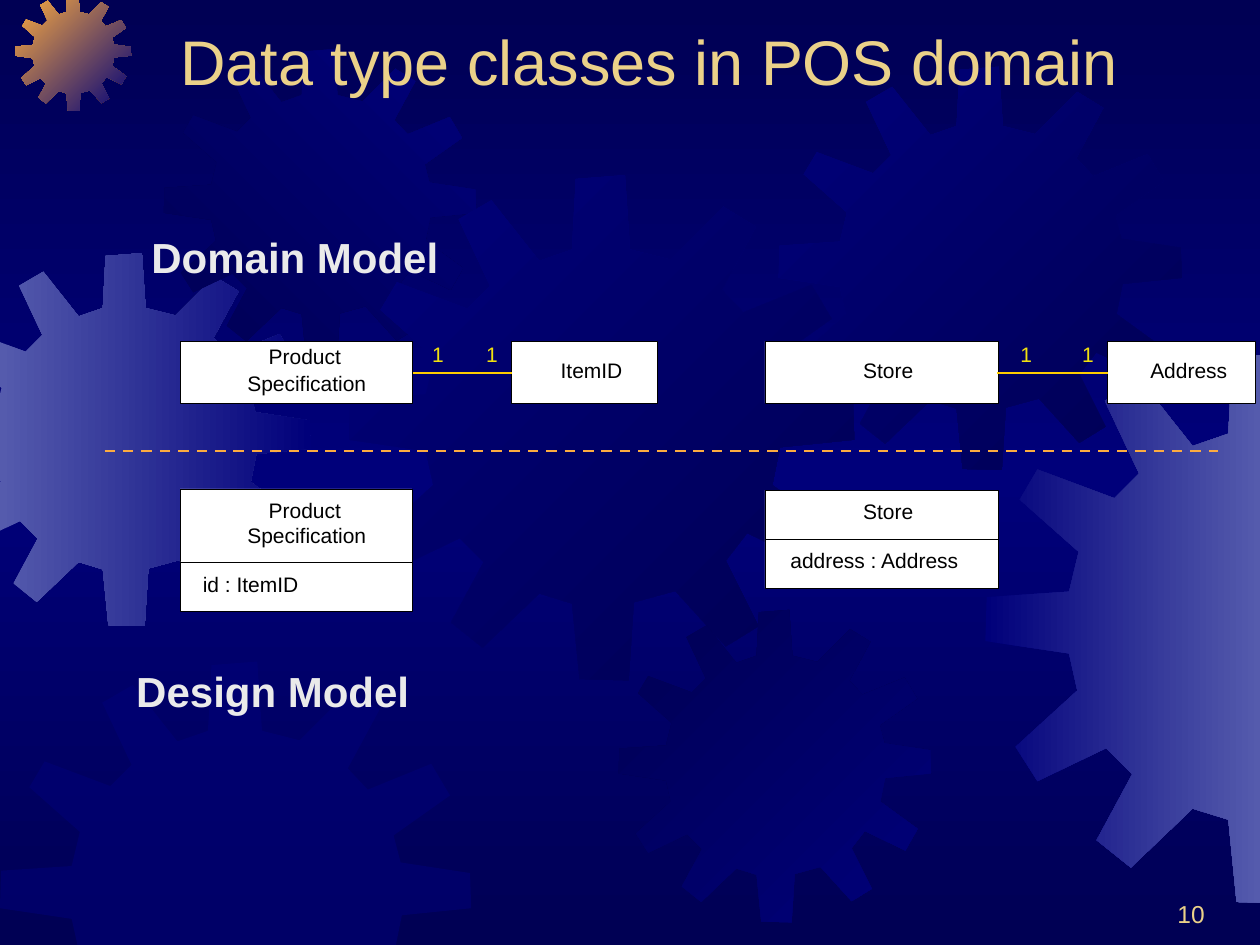
"""Build the slide on data type classes in the POS domain."""
from copy import deepcopy
from dataclasses import dataclass

from lxml import etree
from pptx import Presentation
from pptx.dml.color import RGBColor
from pptx.enum.dml import MSO_LINE
from pptx.enum.shapes import MSO_CONNECTOR, MSO_SHAPE
from pptx.enum.text import MSO_ANCHOR, MSO_AUTO_SIZE, PP_ALIGN
from pptx.oxml.ns import qn
from pptx.util import Inches, Pt

LEFT, MID, RIGHT = PP_ALIGN.LEFT, PP_ALIGN.CENTER, PP_ALIGN.RIGHT
TOP, BOTTOM = MSO_ANCHOR.TOP, MSO_ANCHOR.BOTTOM
FIXED = MSO_AUTO_SIZE.NONE
RECT, LINE, DASH = MSO_SHAPE.RECTANGLE, MSO_CONNECTOR.STRAIGHT, MSO_LINE.DASH
WIDE, HIGH = 10, 7.5
FONT = "Arial"
HUES = {
    "navy": "000054", "blue": "00007A", "haze": "555BAD", "amber": "FCAB40",
    "gold": "EBD189", "link": "FFCC00", "count": "F1E10F", "head": "EAEAEA",
    "white": "FFFFFF", "black": "000000",
}
SPAN = 401
TEETH = [
    (255, 67), (223, 59), (219, 0), (180, 3), (177, 59), (151, 68),
    (113, 20), (87, 35), (112, 88), (94, 106), (38, 85), (25, 107),
    (68, 145), (61, 174), (1, 178), (0, 210), (61, 219), (67, 246),
    (22, 287), (38, 312), (88, 288), (107, 307), (81, 355), (106, 375),
    (151, 332), (177, 340), (183, 400), (222, 401), (226, 339), (259, 330),
    (299, 374), (325, 358), (299, 306), (316, 284), (368, 309), (384, 281),
    (336, 246), (342, 216), (401, 210), (400, 180), (341, 171), (335, 148),
    (383, 114), (367, 87), (313, 109), (296, 91), (323, 41), (297, 25),
]


@dataclass
class Gear:
    left: float
    top: float
    size: float
    hues: tuple
    angle: int = 0


@dataclass
class Box:
    left: float
    top: float
    width: float
    height: float


@dataclass
class Label:
    text: str
    left: float
    top: float
    width: float
    height: float = 0.18
    size: int = 12
    hue: str = "black"
    bold: bool = False


@dataclass
class Link:
    start: float
    end: float
    counts: tuple


GEARS = [
    Gear(-0.49, 2.01, 2.96, ("haze", "blue")),
    Gear(0.12, -0.04, 0.92, ("amber", "blue"), 315),
    Gear(1.3, 0.39, 2.48, ("navy", "blue"), 45),
    Gear(2.77, 1.39, 4.01, ("blue", "navy"), 315),
    Gear(0, 5.25, 3.74, ("blue",)),
    Gear(4.91, 4.84, 2.48, ("navy", "blue"), 315),
    Gear(6.18, 0.53, 3.2, ("blue", "navy"), 315),
    Gear(7.82, 2.8, 4.37, ("blue", "haze")),
]
BOXES = [
    Box(4.06, 2.71, 1.16, 0.49), Box(1.43, 2.71, 1.84, 0.49),
    Box(1.43, 3.88, 1.84, 0.59), Box(1.43, 4.46, 1.84, 0.39),
    Box(8.79, 2.71, 1.17, 0.49), Box(6.07, 2.71, 1.85, 0.49),
    Box(6.07, 3.89, 1.85, 0.39), Box(6.07, 4.28, 1.85, 0.39),
]
LABELS = [
    Label("ItemID", 4.45, 2.86, 0.49),
    Label("Product", 2.13, 2.75, 0.58),
    Label("Specification", 1.96, 2.96, 0.95),
    Label("Product", 2.13, 3.97, 0.58),
    Label("Specification", 1.96, 4.17, 0.95),
    Label("id : ItemID", 1.61, 4.56, 0.76),
    Label("Address", 9.13, 2.86, 0.61),
    Label("Store", 6.85, 2.86, 0.4),
    Label("Store", 6.85, 3.98, 0.4),
    Label("address : Address", 6.27, 4.37, 1.34),
    Label("Domain Model", 1.2, 1.88, 2.28, 0.36, 24, "head", True),
    Label("Design Model", 1.08, 5.33, 2.17, 0.36, 24, "head", True),
]
LINKS = [Link(4.06, 3.28, (3.43, 3.86)), Link(8.79, 7.91, (8.1, 8.59))]


def tint(name: str) -> RGBColor:
    return RGBColor.from_string(HUES[name])


def place(shape, *box: float) -> None:
    shape.left, shape.top, shape.width, shape.height = map(Inches, box)


def shade(fill, hues: tuple, angle: int) -> None:
    fill.gradient()
    fill.gradient_angle = angle
    for stop, hue in zip(fill.gradient_stops, hues):
        stop.color.rgb = tint(hue)
    for spot, stop in enumerate(fill.gradient_stops):
        stop.position = spot


def paint_back(slide) -> None:
    fill = slide.background.fill
    shade(fill, ("navy", "blue"), 270)
    stops = next(slide._element.iter(qn("a:gsLst")))
    stops.append(deepcopy(stops[0]))
    for spot, stop in enumerate(fill.gradient_stops):
        stop.position = spot / 2


def clip(points: list, axis: int, edge: float, sign: int) -> list:
    kept = []
    for a, b in zip(points, points[1:] + points[:1]):
        near, far = sign * (a[axis] - edge), sign * (b[axis] - edge)
        if near >= 0:
            kept.append(a)
        if near * far < 0:
            part = near / (near - far)
            kept.append(tuple(p + part * (q - p) for p, q in zip(a, b)))
    return kept


def draw_gear(slide, gear: Gear) -> None:
    unit = gear.size / SPAN
    points = [(gear.left + x * unit, gear.top + y * unit) for x, y in TEETH]
    for axis, edge in enumerate((WIDE, HIGH)):
        points = clip(clip(points, axis, 0, 1), axis, edge, -1)
    path = [(Inches(x), Inches(y)) for x, y in points]
    pen = slide.shapes.build_freeform(*path[0])
    pen.add_line_segments(path[1:])
    shape = pen.convert_to_shape()
    shape.shadow.inherit = False
    shape.line.fill.background()
    if len(gear.hues) > 1:
        shade(shape.fill, gear.hues, gear.angle)
    else:
        shape.fill.solid()
        shape.fill.fore_color.rgb = tint(gear.hues[0])
        color = next(shape._element.spPr.iter(qn("a:srgbClr")))
        etree.SubElement(color, qn("a:alpha"), val="50000")


def draw_box(slide, box: Box) -> None:
    shape = slide.shapes.add_shape(RECT, 0, 0, 0, 0)
    place(shape, box.left, box.top, box.width, box.height)
    shape.shadow.inherit = False
    shape.fill.solid()
    shape.fill.fore_color.rgb = tint("white")
    shape.line.color.rgb = tint("black")
    shape.line.width = Pt(0.37)


def draw_line(slide, start: float, end: float, y: float, hue: str, width: float):
    line = slide.shapes.add_connector(
        LINE, Inches(start), Inches(y), Inches(end), Inches(y))
    etree.SubElement(line._element.spPr, qn("a:effectLst"))
    line.line.color.rgb = tint(hue)
    line.line.width = Pt(width)
    return line


def write(shape, text: str, size: int, hue: str, align, anchor, bold=False):
    frame = shape.text_frame
    frame.text = text
    frame.auto_size = FIXED
    frame.vertical_anchor = anchor
    para = frame.paragraphs[0]
    para.alignment = align
    font = para.runs[0].font
    font.name, font.size, font.bold = FONT, Pt(size), bold
    font.color.rgb = tint(hue)
    return frame


def draw_label(slide, label: Label) -> None:
    shape = slide.shapes.add_textbox(0, 0, 0, 0)
    place(shape, label.left, label.top, label.width, label.height)
    frame = write(shape, label.text, label.size, label.hue, MID, TOP, label.bold)
    frame.word_wrap = False
    frame.margin_left = frame.margin_right = 0
    frame.margin_top = frame.margin_bottom = 0
    frame.paragraphs[0].line_spacing = 0.9


def main() -> None:
    deck = Presentation()
    deck.slide_width, deck.slide_height = Inches(WIDE), Inches(HIGH)
    slide = deck.slides.add_slide(deck.slide_layouts[5])
    paint_back(slide)
    for gear in GEARS:
        draw_gear(slide, gear)
    page = slide.shapes.add_textbox(0, 0, 0, 0)
    place(page, 7.58, 6.92, 2.08, 0.5)
    write(page, "10", 14, "gold", RIGHT, BOTTOM).word_wrap = True
    title = slide.shapes.title
    slide.shapes._spTree.append(title._element)
    place(title, 1.33, 0.13, 8.5, 0.7)
    write(title, "Data type classes in POS domain", 36, "gold", LEFT, BOTTOM)
    for box in BOXES:
        draw_box(slide, box)
    for link in LINKS:
        draw_line(slide, link.start, link.end, 2.96, "link", 0.88)
        for left in link.counts:
            draw_label(slide, Label("1", left, 2.73, 0.09, hue="count"))
    for label in LABELS:
        draw_label(slide, label)
    draw_line(slide, 0.83, 9.67, 3.58, "amber", 1.5).line.dash_style = DASH
    deck.save("out.pptx")


if __name__ == "__main__":
    main()
